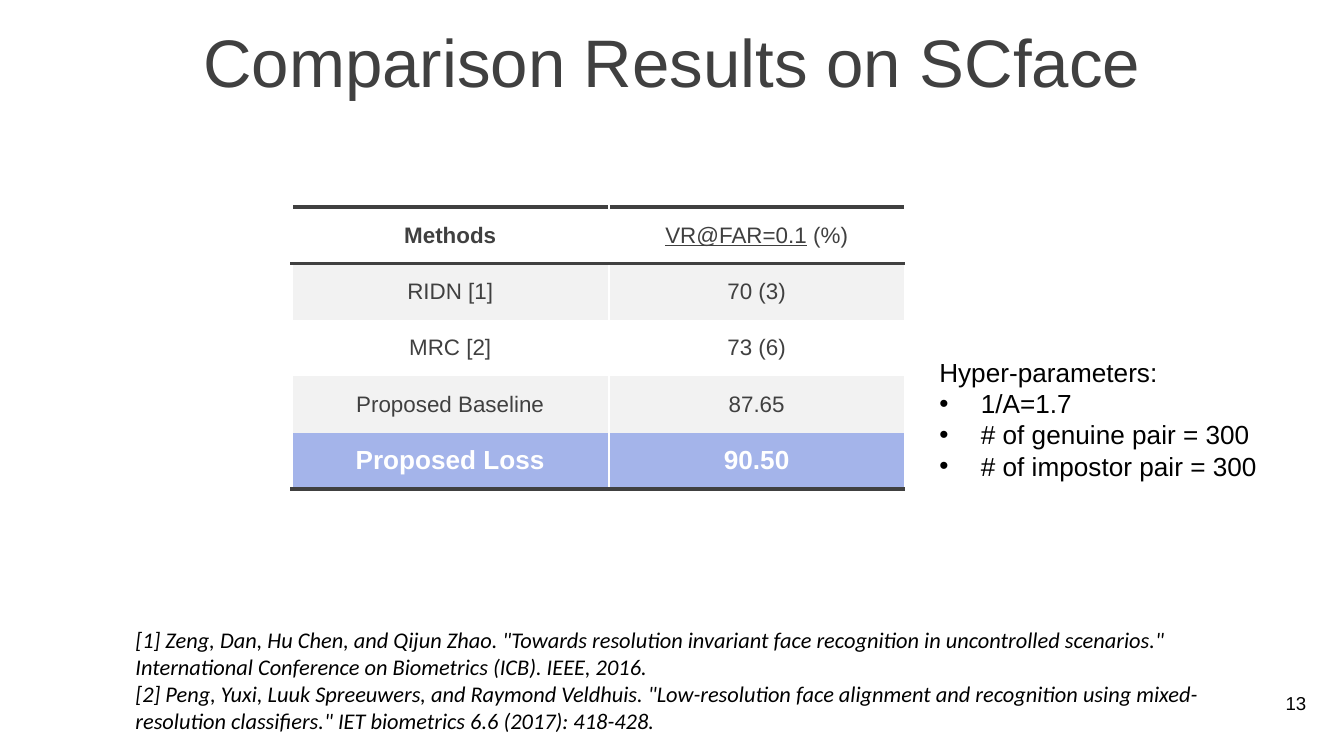
from lxml.etree import SubElement
from pptx import Presentation
from pptx.dml.color import RGBColor
from pptx.enum.text import MSO_ANCHOR as ANCHOR, MSO_AUTO_SIZE as AUTO, PP_ALIGN as ALIGN
from pptx.oxml.ns import qn
from pptx.util import Inches, Pt

DARK, WHITE, BLACK, GRAY, BLUE = "404040", "FFFFFF", "000000", "F2F2F2", "A4B4EA"


def rgb(color):
    return RGBColor.from_string(color)


class SlideBuilder:
    font = "Arial"

    def __init__(self, slide):
        self.slide = slide

    def style(self, p, size, color, align=ALIGN.LEFT, font=None, bold=False, italic=False):
        p.alignment = align
        f = p.font
        f.name, f.size, f.bold, f.italic = font or self.font, Pt(size), bold, italic
        f.color.rgb = rgb(color)

    def text(self, box, lines, size, color, anchor=ANCHOR.TOP, grow=False, **style):
        tf = self.slide.shapes.add_textbox(*map(Inches, box)).text_frame
        tf.word_wrap = True
        tf.auto_size = AUTO.SHAPE_TO_FIT_TEXT if grow else AUTO.NONE
        tf.vertical_anchor = anchor
        for i, line in enumerate(lines):
            p = tf.add_paragraph() if i else tf.paragraphs[0]
            p.add_run().text = line
            self.style(p, size, color, **style)
        return tf

    def bullet(self, p, indent=0.31):
        pPr = p._p.get_or_add_pPr()
        pPr.set("marL", str(Inches(indent)))
        pPr.set("indent", str(-Inches(indent)))
        bullet = pPr.makeelement(qn("a:buChar"), {"char": "•"})
        pPr.insert(0, bullet)
        pPr.insert(0, pPr.makeelement(qn("a:buFont"), {"typeface": "Arial"}))

    def border(self, cell, side, color=None, width=1):
        ln = SubElement(cell._tc.get_or_add_tcPr(), qn(f"a:ln{side}"), w=str(Pt(width)))
        if color:
            SubElement(SubElement(ln, qn("a:solidFill")), qn("a:srgbClr"), val=color)
        else:
            SubElement(ln, qn("a:noFill"))

    def table(self, left, top, widths, height, rows):
        table = self.slide.shapes.add_table(
            len(rows), len(widths), Inches(left), Inches(top),
            Inches(sum(widths)), Inches(height * len(rows))).table
        table.first_row = table.horz_banding = False
        for column, width in zip(table.columns, widths):
            column.width = Inches(width)
        last = len(rows) - 1
        for i, row in enumerate(rows):
            table.rows[i].height = Inches(height)
            for j, parts in enumerate(row):
                cell = table.cell(i, j)
                self.border(cell, "L", WHITE, 1 if j else 1.5)
                self.border(cell, "R", WHITE)
                self.border(cell, "T", DARK if i < 2 else None, 2.25)
                self.border(cell, "B", DARK if i in (0, last) else None, 2.25)
                cell.fill.solid()
                cell.fill.fore_color.rgb = rgb(BLUE if i == last else GRAY if i % 2 else WHITE)
                cell.vertical_anchor = ANCHOR.MIDDLE
                p = cell.text_frame.paragraphs[0]
                for part in parts:
                    p.add_run().text = part
                self.style(p, 14 if i == last else 12, WHITE if i == last else DARK,
                           ALIGN.CENTER, bold=i == last or i == j == 0)
        return table


def main():
    prs = Presentation()
    prs.slide_width = Inches(10)
    prs.slide_height = prs.slide_width * 9 // 16
    s = SlideBuilder(prs.slides.add_slide(prs.slide_layouts[6]))

    s.text((0, 0.14, 10, 0.63), ["Comparison Results on SCface"], 36, DARK,
           ANCHOR.MIDDLE, align=ALIGN.CENTER)

    results = s.table(2.17, 1.54, (2.36, 2.2), 0.42, [
        (["Methods"], ["VR@FAR=0.1", " (%)"]),
        (["RIDN [1]"], ["70 (3)"]),
        (["MRC [2]"], ["73 (6)"]),
        (["Proposed Baseline"], ["87.65"]),
        (["Proposed Loss"], ["90.50"]),
    ])
    metric = results.cell(0, 1).text_frame.paragraphs[0].runs[0]
    metric.font.underline = True
    metric.font.color.rgb = rgb("3F3F3F")

    parameters = s.text((6.89, 2.6, 3.39, 1.04), [
        "Hyper-parameters:", "1/A=1.7", "# of genuine pair = 300", "# of impostor pair = 300",
    ], 14, BLACK, grow=True)
    for p in parameters.paragraphs[1:]:
        s.bullet(p)

    s.text((0.91, 4.61, 8.74, 0.91), [
        '[1] Zeng, Dan, Hu Chen, and Qijun Zhao. "Towards resolution invariant face recognition '
        'in uncontrolled scenarios." International Conference on Biometrics (ICB). IEEE, 2016.',
        '[2] Peng, Yuxi, Luuk Spreeuwers, and Raymond Veldhuis. "Low-resolution face alignment '
        'and recognition using mixed-resolution classifiers." IET biometrics 6.6 (2017): 418-428.',
    ], 12, BLACK, grow=True, font="Calibri", italic=True)

    number = s.text((9.31, 5.06, 0.41, 0.39), ["13"], 10, BLACK, align=ALIGN.RIGHT)
    number.margin_right = 0
    number.paragraphs[0].line_spacing = Pt(15)

    prs.save("out.pptx")


if __name__ == "__main__":
    main()
